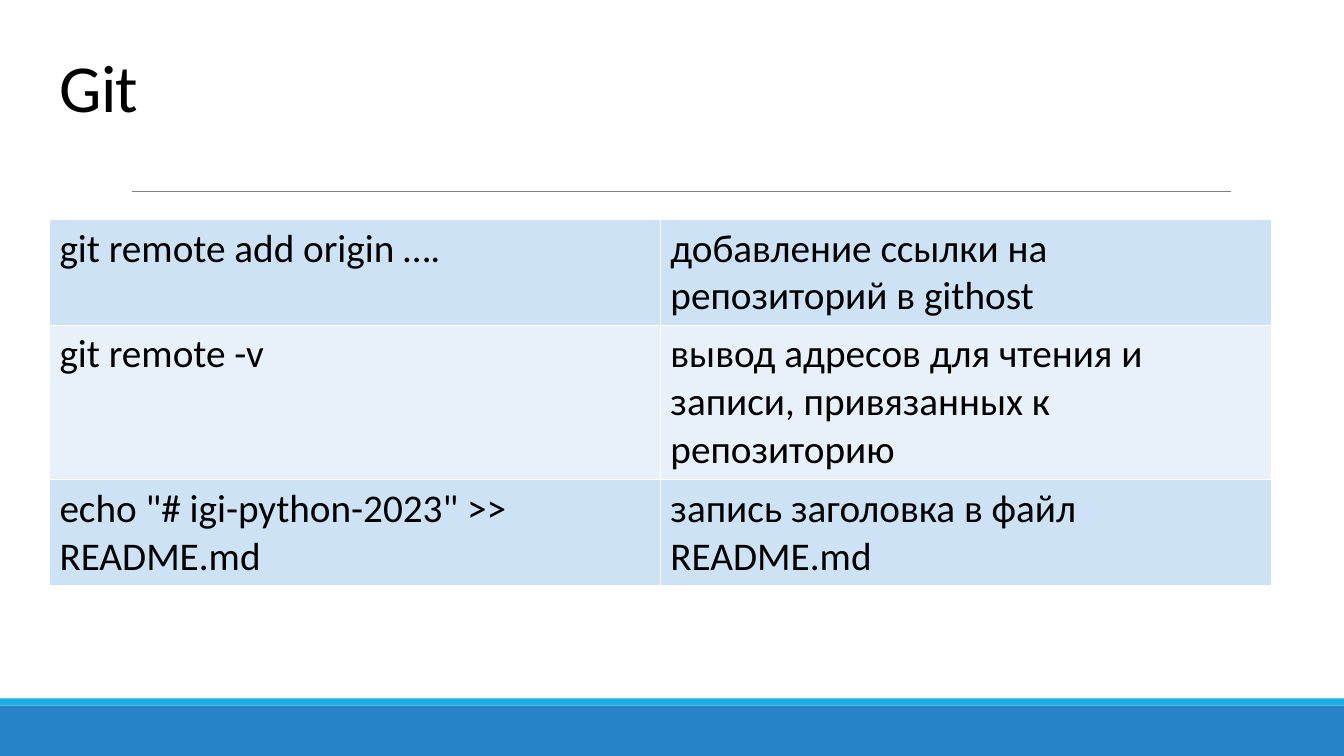
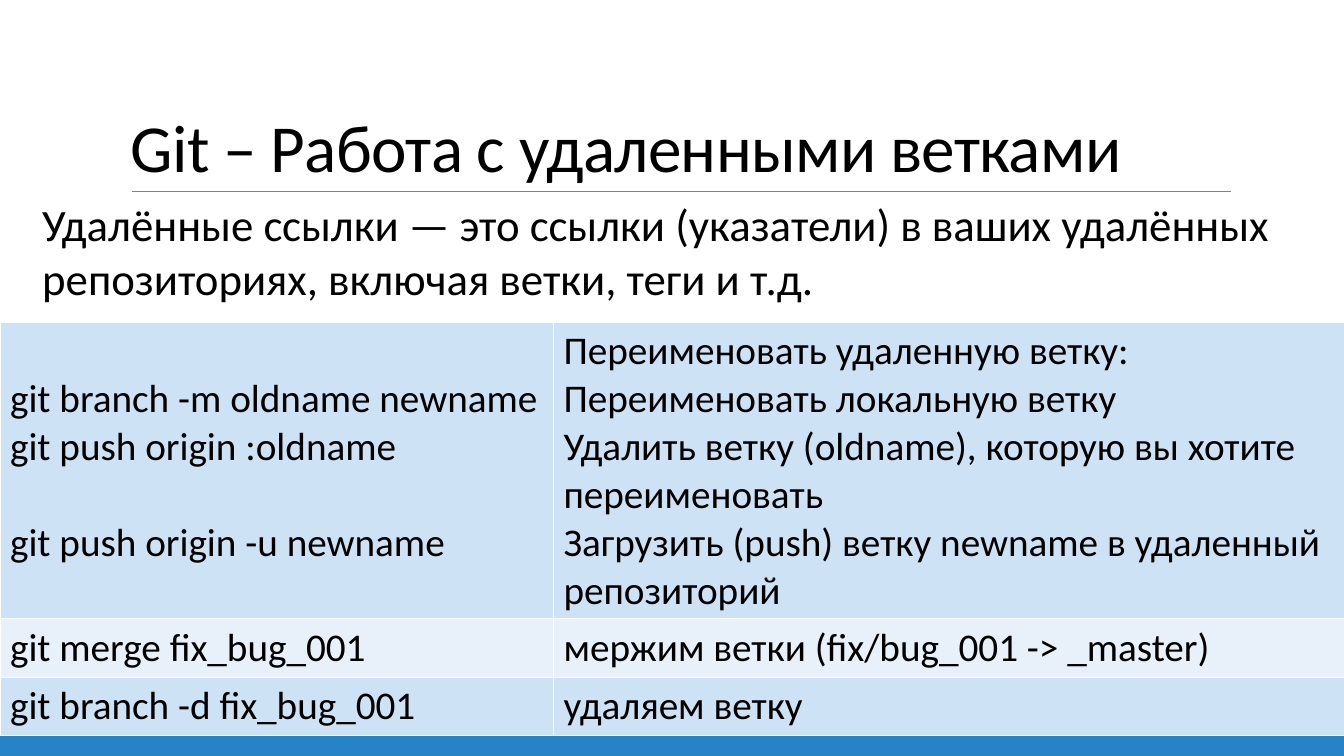
from dataclasses import dataclass

from lxml import etree
from pptx import Presentation
from pptx import util as u
from pptx.dml import color
from pptx.enum import shapes, text
from pptx.oxml import ns

FONT = "Calibri"
BLACK, WHITE, GRAY = "000000", "FFFFFF", "808080"
ROW_FILLS = ("CDE3F5", "E8F1FA")
SLIDE_WIDTH, SLIDE_HEIGHT = 13.33, 7.5
TABLE_LINE = 34.2


@dataclass(frozen=True)
class Area:
    left: float
    top: float
    width: float
    height: float

    def lengths(self) -> tuple:
        return tuple(u.Inches(n) for n in (self.left, self.top, self.width, self.height))


@dataclass(frozen=True)
class Band:
    area: Area
    fill: str


@dataclass(frozen=True)
class Line:
    text: str
    lines_before: int = 0


@dataclass(frozen=True)
class Row:
    height: float
    command: tuple[Line, ...]
    meaning: tuple[Line, ...]


BANDS = (
    Band(Area(0, 7, SLIDE_WIDTH, 0.5), "2683C6"),
    Band(Area(0, 6.93, SLIDE_WIDTH, 0.07), "1CADE4"),
)

LINK_ROWS = (
    Row(1.05, (Line("git remote add origin …."),),
        (Line("добавление ссылки на репозиторий в githost"),)),
    Row(1.53, (Line("git remote -v"),),
        (Line("вывод адресов для чтения и записи, привязанных к репозиторию"),)),
    Row(1.05, (Line('echo "# igi-python-2023" >> README.md'),),
        (Line("запись заголовка в файл README.md"),)),
)

BRANCH_ROWS = (
    Row(2.94,
        (Line("git branch -m oldname newname", 1),
         Line("git push origin :oldname"),
         Line("git push origin -u newname", 1)),
        (Line("Переименовать удаленную ветку:"),
         Line("Переименовать локальную ветку"),
         Line("Удалить ветку (oldname), которую вы хотите переименовать"),
         Line("Загрузить (push) ветку newname в удаленный репозиторий"))),
    Row(0.58, (Line("git merge fix_bug_001"),),
        (Line("мержим ветки (fix/bug_001 -> _master)"),)),
    Row(0.58, (Line("git branch -d fix_bug_001"),), (Line("удаляем ветку"),)),
)


def rgb(value: str) -> color.RGBColor:
    return color.RGBColor.from_string(value)


def paint(fill, value: str) -> None:
    fill.solid()
    fill.fore_color.rgb = rgb(value)


def style_para(para, size: float) -> None:
    para.font.name = FONT
    para.font.size = u.Pt(size)
    para.font.color.rgb = rgb(BLACK)


def add_text(page, area: Area, words: str, size: float):
    box = page.shapes.add_textbox(*area.lengths())
    box.text_frame.word_wrap = True
    para = box.text_frame.paragraphs[0]
    para.text = words
    style_para(para, size)
    return box


def add_title(page, area: Area, words: str) -> None:
    box = add_text(page, area, words, 48)
    box.text_frame.vertical_anchor = text.MSO_ANCHOR.BOTTOM
    para = box.text_frame.paragraphs[0]
    para.line_spacing = 0.85
    para._p.pPr.find(ns.qn("a:defRPr")).set("spc", "-50")


def add_page(deck, title: str, title_area: Area):
    page = deck.slides.add_slide(deck.slide_layouts[6])
    paint(page.background.fill, WHITE)
    for band in BANDS:
        shape = page.shapes.add_shape(shapes.MSO_SHAPE.RECTANGLE, *band.area.lengths())
        shape.shadow.inherit = False
        paint(shape.fill, band.fill)
        shape.line.fill.background()
    rule = page.shapes.add_connector(
        shapes.MSO_CONNECTOR.STRAIGHT,
        u.Inches(1.31), u.Inches(1.9), u.Inches(12.21), u.Inches(1.9))
    rule.line.color.rgb = rgb(GRAY)
    rule.line.width = u.Pt(0.5)
    etree.SubElement(rule._element.spPr, ns.qn("a:effectLst"))
    add_title(page, title_area, title)
    return page


def add_borders(cell) -> None:
    properties = cell._tc.get_or_add_tcPr()
    for side in ("lnL", "lnR", "lnT", "lnB"):
        border = etree.SubElement(properties, ns.qn(f"a:{side}"), w=str(u.Pt(1)))
        fill = etree.SubElement(border, ns.qn("a:solidFill"))
        etree.SubElement(fill, ns.qn("a:srgbClr"), val=WHITE)


def fill_cell(cell, lines: tuple[Line, ...], fill: str) -> None:
    add_borders(cell)
    paint(cell.fill, fill)
    cell.margin_top = u.Inches(0.05) + u.Pt(TABLE_LINE * lines[0].lines_before)
    for index, line in enumerate(lines):
        para = cell.text_frame.add_paragraph() if index else cell.text_frame.paragraphs[0]
        para.text = line.text
        if index and line.lines_before:
            para.space_before = u.Pt(TABLE_LINE * line.lines_before)
        style_para(para, 28)


def add_commands(page, left: float, top: float, widths: tuple[float, float],
                 rows: tuple[Row, ...]) -> None:
    area = Area(left, top, sum(widths), sum(row.height for row in rows))
    table = page.shapes.add_table(len(rows), len(widths), *area.lengths()).table
    table.first_row = False
    table.horz_banding = False
    for column, width in zip(table.columns, widths):
        column.width = u.Inches(width)
    for index, row in enumerate(rows):
        table.rows[index].height = u.Inches(row.height)
        for column, lines in enumerate((row.command, row.meaning)):
            fill_cell(table.cell(index, column), lines, ROW_FILLS[index % 2])


def main() -> None:
    deck = Presentation()
    deck.slide_width = u.Inches(SLIDE_WIDTH)
    deck.slide_height = u.Inches(SLIDE_HEIGHT)

    links = add_page(deck, "Git", Area(0.49, 0.34, 12.42, 0.96))
    add_commands(links, 0.49, 2.18, (6.06, 6.06), LINK_ROWS)

    branches = add_page(deck, "Git – Работа с удаленными ветками", Area(1.2, 0.31, 11, 1.59))
    add_commands(branches, 0, 3.2, (5.49, 7.85), BRANCH_ROWS)
    add_text(branches, Area(0.32, 1.9, 12.8, 1.18),
             "Удалённые ссылки — это ссылки (указатели) в ваших удалённых "
             "репозиториях, включая ветки, теги и т.д.", 32)

    deck.save("out.pptx")


if __name__ == "__main__":
    main()
